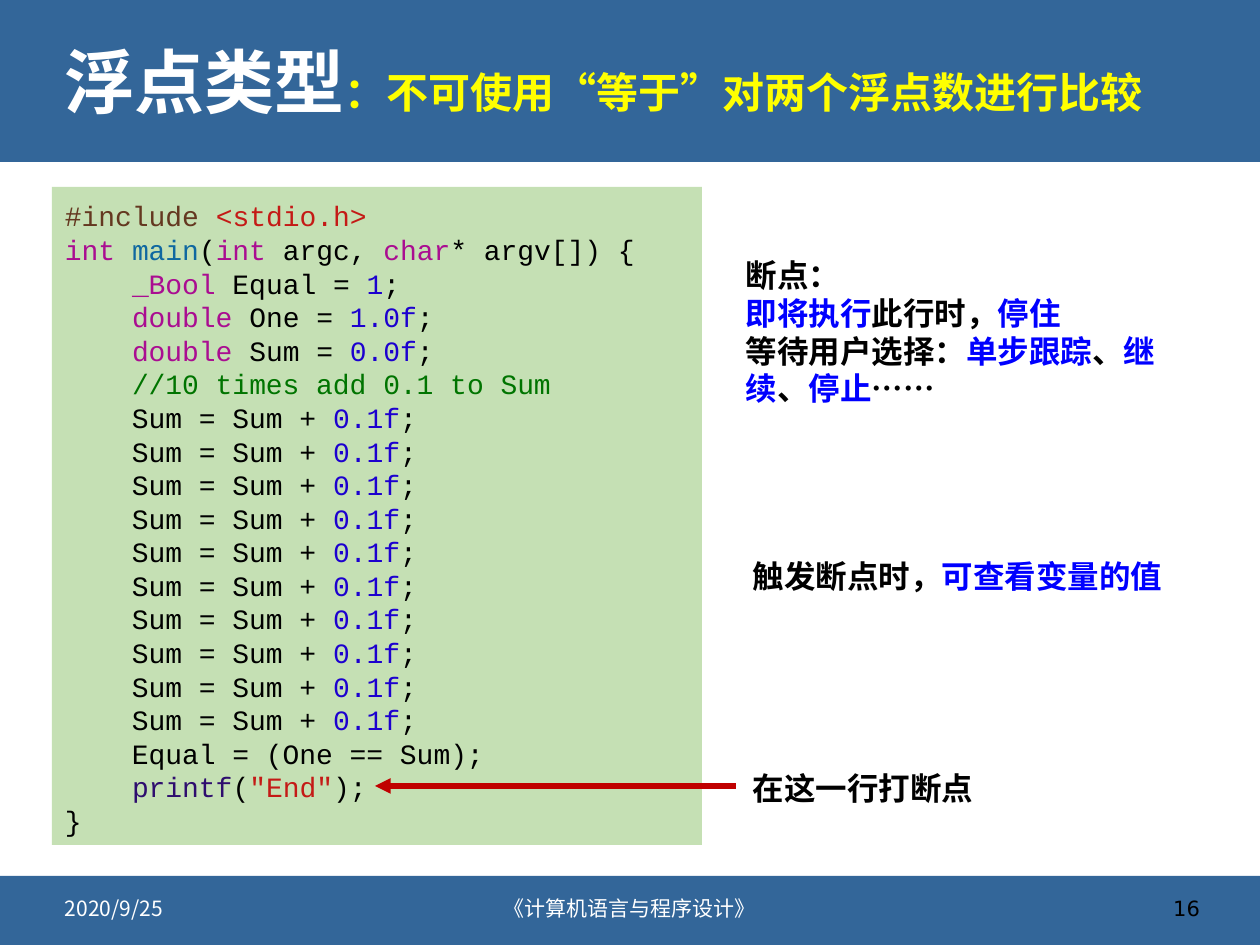
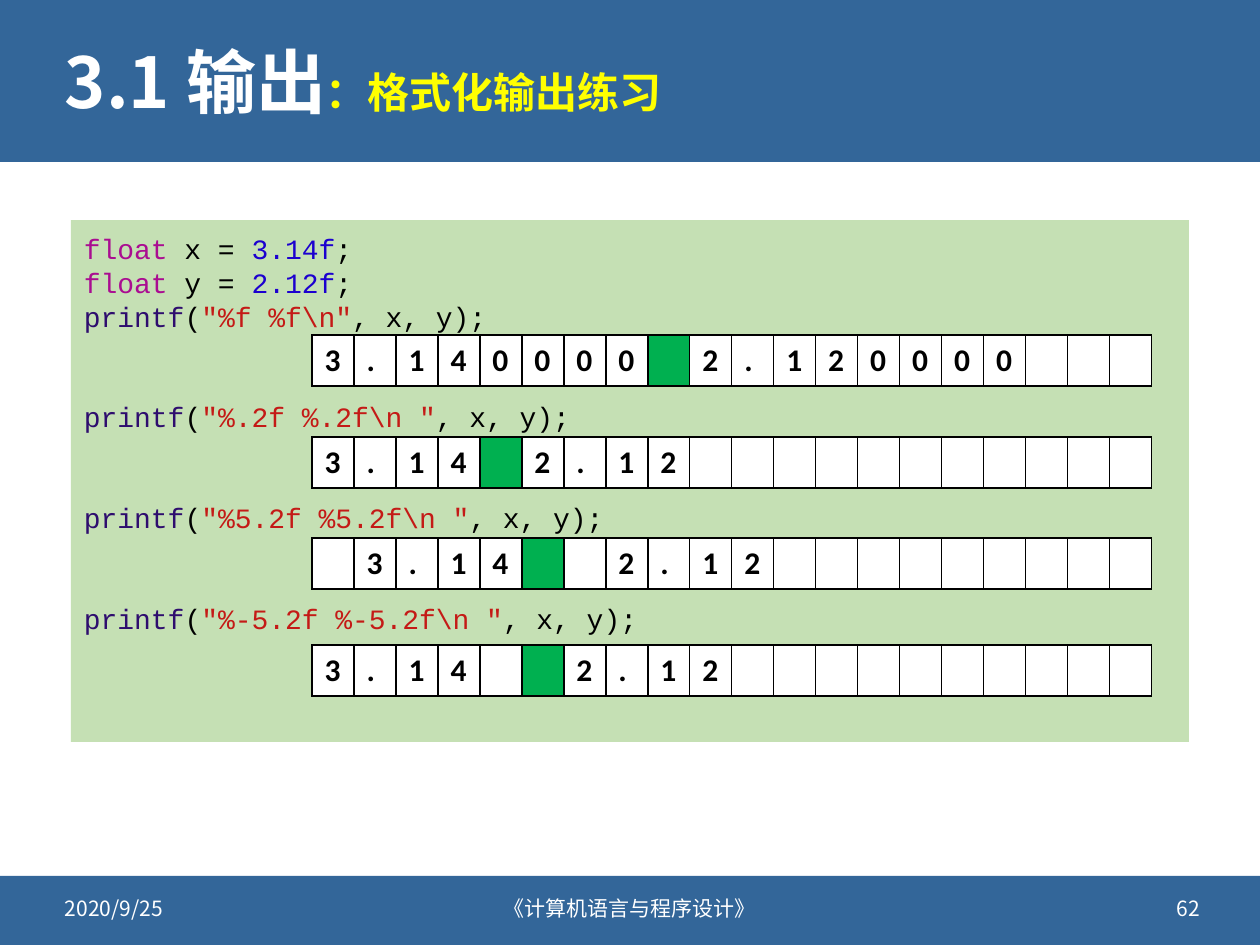
from dataclasses import dataclass
from functools import partial
from typing import NamedTuple

from lxml.etree import SubElement
from pptx import Presentation
from pptx.dml.color import RGBColor
from pptx.enum.shapes import MSO_CONNECTOR, MSO_SHAPE
from pptx.enum.text import MSO_ANCHOR as Anchor, MSO_AUTO_SIZE, PP_ALIGN as Align
from pptx.oxml.ns import qn
from pptx.slide import Slide
from pptx.text.text import TextFrame
from pptx.util import Emu, Pt

# Shared colours
BLUE_BAND = RGBColor(0x33, 0x66, 0x99)
CODE_GREEN = RGBColor(0xC5, 0xE0, 0xB4)
SPACE_GREEN = RGBColor(0x00, 0xB0, 0x50)
WHITE = RGBColor(0xFF, 0xFF, 0xFF)
BLACK = RGBColor(0x00, 0x00, 0x00)
YELLOW = RGBColor(0xFF, 0xFF, 0x00)
HIGHLIGHT = RGBColor(0x00, 0x00, 0xFF)
ARROW_RED = RGBColor(0xC0, 0x00, 0x00)
# Syntax colours
DIRECTIVE = RGBColor(0x64, 0x38, 0x20)
STRING = RGBColor(0xC4, 0x1A, 0x16)
KEYWORD = RGBColor(0xAA, 0x0D, 0x91)
FUNCTION = RGBColor(0x0F, 0x68, 0xA0)
NUMBER = RGBColor(0x1C, 0x00, 0xCF)
COMMENT = RGBColor(0x00, 0x74, 0x00)
LIBRARY = RGBColor(0x2E, 0x0D, 0x6E)

CJK = "Noto Sans CJK SC"
SLIDE_W, SLIDE_H = 1260, 945


def px(length: int) -> Emu:
    """126 px make one inch."""
    return Emu(round(length * 914400 / 126))


class Box(NamedTuple):
    left: int
    top: int
    width: int
    height: int

    def emu(self) -> list[Emu]:
        return [px(length) for length in self]


class Run(NamedTuple):
    text: str
    colour: RGBColor = BLACK
    size: float | None = None


@dataclass(frozen=True)
class Line:
    runs: tuple[Run, ...]
    space_before: float = 0


@dataclass(frozen=True)
class Style:
    size: float
    font: str = CJK
    bold: bool = False
    align: Align = Align.LEFT
    anchor: Anchor = Anchor.TOP
    spacing: float | Pt | None = None
    top_inset: int = 6


def line(*runs: Run, space_before: float = 0) -> Line:
    return Line(runs, space_before)


# Text styles
TITLE = Style(40, bold=True, anchor=Anchor.MIDDLE, spacing=0.9)
FOOTER = Style(12, anchor=Anchor.MIDDLE)
NOTE = Style(18, bold=True, spacing=Pt(21.6), top_inset=8)
CODE_PITCH = 19.2
CODE = Style(16, "Courier New", spacing=Pt(CODE_PITCH), top_inset=12)
CELL = Style(18, "Calibri", bold=True)

blue = partial(Run, colour=HIGHLIGHT)
keyword = partial(Run, colour=KEYWORD)
number = partial(Run, colour=NUMBER)
string = partial(Run, colour=STRING)
INDENT = Run("    ")
END = Run(";")


def add_run(paragraph, run: Run, style: Style) -> None:
    piece = paragraph.add_run()
    piece.text = run.text
    font = piece.font
    font.size = Pt(run.size or style.size)
    font.bold = style.bold
    font.color.rgb = run.colour
    font.name = style.font
    SubElement(piece._r.get_or_add_rPr(), qn("a:ea"), typeface=style.font)


def write(frame: TextFrame, lines: list[Line], style: Style) -> None:
    frame.word_wrap = True
    frame.auto_size = MSO_AUTO_SIZE.NONE
    frame.vertical_anchor = style.anchor
    frame.margin_left = frame.margin_right = px(13)
    frame.margin_top, frame.margin_bottom = px(style.top_inset), px(6)
    for index, content in enumerate(lines):
        paragraph = frame.add_paragraph() if index else frame.paragraphs[0]
        paragraph.alignment = style.align
        if style.spacing:
            paragraph.line_spacing = style.spacing
        if content.space_before:
            paragraph.space_before = Pt(content.space_before)
        for run in content.runs:
            add_run(paragraph, run, style)


def add_text(slide: Slide, box: Box, lines: list[Line], style: Style) -> None:
    write(slide.shapes.add_textbox(*box.emu()).text_frame, lines, style)


def add_panel(slide: Slide, box: Box, colour: RGBColor):
    panel = slide.shapes.add_shape(MSO_SHAPE.RECTANGLE, *box.emu())
    panel.shadow.inherit = False
    panel.fill.solid()
    panel.fill.fore_color.rgb = colour
    panel.line.fill.background()
    return panel


def add_code(slide: Slide, box: Box, lines: list[Line]) -> None:
    write(add_panel(slide, box, CODE_GREEN).text_frame, lines, CODE)


def add_arrow(slide: Slide, start: tuple[int, int], end: tuple[int, int]) -> None:
    arrow = slide.shapes.add_connector(
        MSO_CONNECTOR.STRAIGHT, *(px(length) for length in start + end))
    arrow.line.color.rgb = ARROW_RED
    arrow.line.width = Pt(3)
    SubElement(arrow.line._get_or_add_ln(), qn("a:tailEnd"), type="triangle")
    SubElement(arrow._element.spPr, qn("a:effectLst"))


def add_borders(cell) -> None:
    properties = cell._tc.get_or_add_tcPr()
    for side in ("lnL", "lnR", "lnT", "lnB"):
        border = SubElement(properties, qn(f"a:{side}"), w=str(Pt(1)))
        SubElement(SubElement(border, qn("a:solidFill")), qn("a:srgbClr"), val=str(BLACK))


def add_output_row(slide: Slide, top: int, output: str, columns: int = 20) -> None:
    """One character per cell; an underscore is the separating space, in green."""
    side = 42
    box = Box(312, top, columns * side, 51)
    grid = slide.shapes.add_table(1, columns, *box.emu()).table
    grid.first_row = grid.horz_banding = False
    for column, character in enumerate(output.ljust(columns)):
        grid.columns[column].width = px(side)
        cell = grid.cell(0, column)
        add_borders(cell)
        cell.fill.solid()
        cell.fill.fore_color.rgb = SPACE_GREEN if character == "_" else WHITE
        if character not in " _":
            add_run(cell.text_frame.paragraphs[0], Run(character), CELL)


def new_slide(deck, topic: str, subtitle: str, page: str,
              page_font: str = CJK, page_colour: RGBColor = WHITE) -> Slide:
    slide = deck.slides.add_slide(deck.slide_layouts[5])
    # Bands lie behind the title
    for box in (Box(0, 876, SLIDE_W, 69), Box(0, 0, SLIDE_W, 162)):
        slide.shapes._spTree.insert(2, add_panel(slide, box, BLUE_BAND)._element)
    title = slide.shapes.title
    title.left, title.top, title.width, title.height = Box(52, 23, 1158, 125).emu()
    write(title.text_frame, [line(Run(topic, WHITE), Run(subtitle, YELLOW, 24))], TITLE)
    # Footer
    footers = (
        (52, 302, "2020/9/25", Align.LEFT, CJK, WHITE),
        (403, 454, "《计算机语言与程序设计》", Align.CENTER, CJK, WHITE),
        (911, 302, page, Align.RIGHT, page_font, page_colour),
    )
    for left, width, text, align, font, colour in footers:
        style = Style(FOOTER.size, font, align=align, anchor=FOOTER.anchor)
        add_text(slide, Box(left, 883, width, 50), [line(Run(text, colour))], style)
    return slide


def build_comparison(deck) -> None:
    slide = new_slide(deck, "浮点类型", "：不可使用“等于”对两个浮点数进行比较",
                      "16", "DejaVu Sans", BLACK)
    add_sum = line(INDENT, Run("Sum = Sum + "), number("0.1f"), END)
    add_code(slide, Box(52, 187, 650, 658), [
        line(Run("#include ", DIRECTIVE), string("<stdio.h>")),
        line(keyword("int "), Run("main", FUNCTION), Run("("), keyword("int "),
             Run("argc, "), keyword("char"), Run("* argv[]) {")),
        line(INDENT, keyword("_Bool"), Run(" Equal = "), number("1"), END),
        line(INDENT, keyword("double"), Run(" One = "), number("1.0f"), END),
        line(INDENT, keyword("double"), Run(" Sum = "), number("0.0f"), END),
        line(INDENT, Run("//10 times add 0.1 to Sum", COMMENT)),
        *[add_sum] * 10,
        line(INDENT, Run("Equal = (One == Sum);")),
        line(INDENT, Run("printf", LIBRARY), Run("("), string('"End"'), Run(");")),
        line(Run("}")),
    ])
    # Breakpoint notes
    add_arrow(slide, (736, 786), (375, 786))
    add_text(slide, Box(740, 761, 248, 50), [line(Run("在这一行打断点"))], NOTE)
    add_text(slide, Box(733, 248, 442, 165), [
        line(Run("断点：")),
        line(blue("即将执行"), Run("此行时，"), blue("停住")),
        line(Run("等待用户选择："), blue("单步跟踪"), Run("、"), blue("继续"),
             Run("、"), blue("停止"), Run("……")),
    ], NOTE)
    add_text(slide, Box(740, 549, 442, 50),
             [line(Run("触发断点时，"), blue("可查看变量的值"))], NOTE)


class Exercise(NamedTuple):
    pattern: str
    output: str
    top: int


EXERCISES = (
    Exercise(r'"%f %f\n"', "3.140000_2.120000", 335),
    Exercise(r'"%.2f %.2f\n "', "3.14_2.12", 437),
    Exercise(r'"%5.2f %5.2f\n "', " 3.14_ 2.12", 538),
    Exercise(r'"%-5.2f %-5.2f\n "', "3.14 _2.12", 645),
)


def build_output(deck) -> None:
    slide = new_slide(deck, "3.1 输出", "：格式化输出练习", "62")
    declarations = [
        line(keyword("float"), Run(f" {name} = "), number(value), END)
        for name, value in (("x", "3.14f"), ("y", "2.12f"))
    ]
    # Each later call leaves two lines free for the output row above it
    calls = [
        line(Run("printf", LIBRARY), Run("("), string(exercise.pattern), Run(", x, y);"),
             space_before=2 * CODE_PITCH if index else 0)
        for index, exercise in enumerate(EXERCISES)
    ]
    add_code(slide, Box(71, 220, 1118, 522), declarations + calls)
    for exercise in EXERCISES:
        add_output_row(slide, exercise.top, exercise.output)


def main() -> None:
    deck = Presentation()
    deck.slide_width, deck.slide_height = px(SLIDE_W), px(SLIDE_H)
    build_comparison(deck)
    build_output(deck)
    deck.save("out.pptx")


if __name__ == "__main__":
    main()
